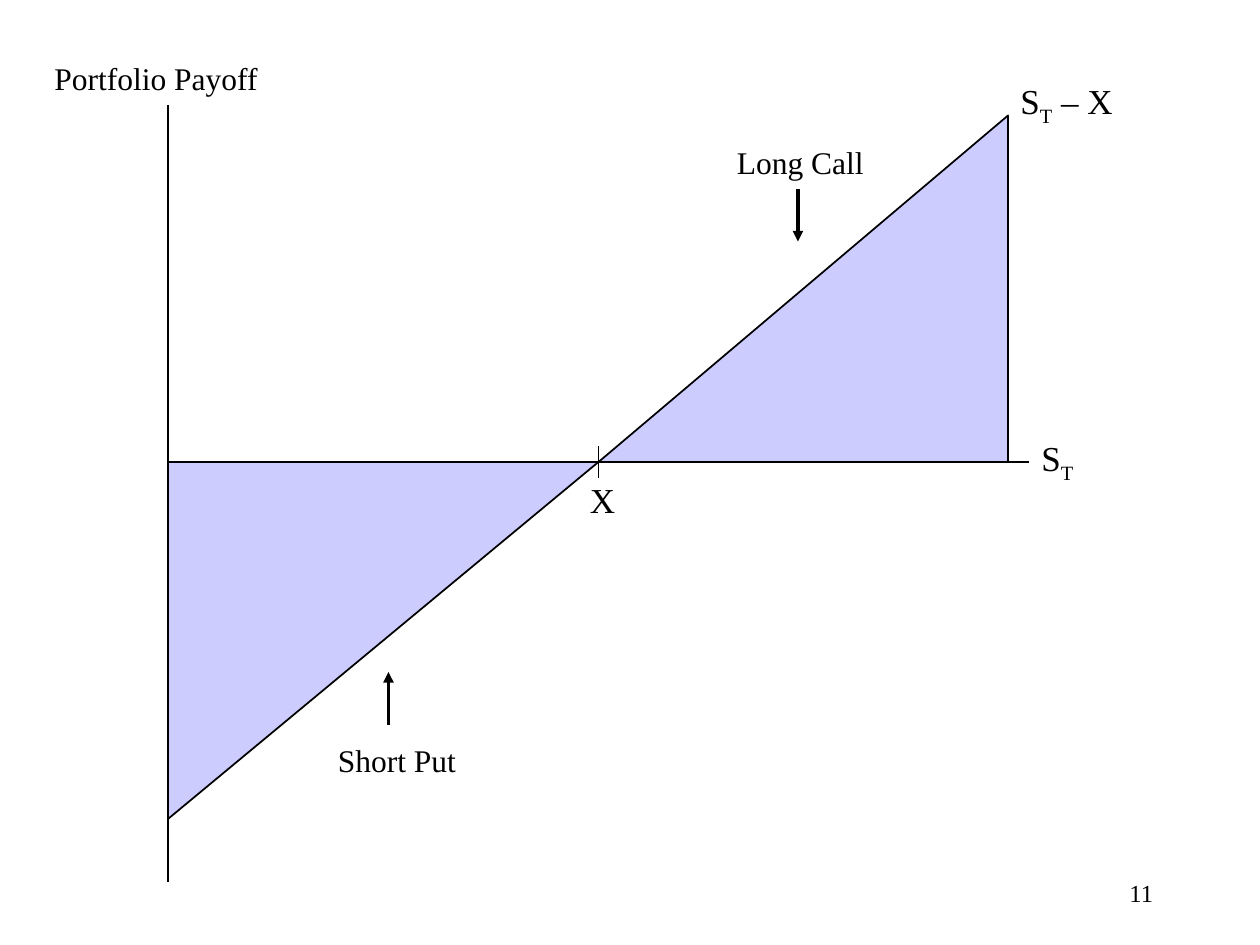
import pptx
import pptx.util
import pptx.dml.color
import pptx.enum.text
import pptx.enum.shapes
import pptx.oxml.ns
from lxml import etree

BLACK = pptx.dml.color.RGBColor(0x00, 0x00, 0x00)
LILAC = pptx.dml.color.RGBColor(0xCC, 0xCC, 0xFF)
WHITE = pptx.dml.color.RGBColor(0xFF, 0xFF, 0xFF)
FONT = "Times New Roman"
COLS, ROWS = 120, 90
CELL = pptx.util.Inches(10) // COLS


def cells(*values):
    """Turn grid cells into slide lengths."""
    return [round(v * CELL) for v in values]


def add_line(s, start, end, color=BLACK, width=1, arrow=False):
    """Draw a straight line between two grid points."""
    line = s.shapes.add_connector(
        pptx.enum.shapes.MSO_CONNECTOR.STRAIGHT, *cells(*start, *end))
    line.line.color.rgb = color
    line.line.width = pptx.util.Pt(width)
    if arrow:
        ln = line.line._get_or_add_ln()
        etree.SubElement(ln, pptx.oxml.ns.qn("a:tailEnd"), type="triangle")
    etree.SubElement(line._element.spPr, pptx.oxml.ns.qn("a:effectLst"))


def add_label(s, box, parts, size, wrap=True):
    """Write text in a grid box; every second part is a subscript."""
    tf = s.shapes.add_textbox(*cells(*box)).text_frame
    tf.word_wrap = wrap
    p = tf.paragraphs[0]
    for i, part in enumerate(parts):
        r = p.add_run()
        r.text = part
        r.font.name = FONT
        r.font.size = pptx.util.Pt(size)
        r.font.color.rgb = BLACK
        if i % 2:
            r._r.get_or_add_rPr().set("baseline", "-25000")
    return tf


def add_triangle(s, points):
    """Draw a filled payoff area through three grid points."""
    start, *rest = [cells(*point) for point in points]
    builder = s.shapes.build_freeform(*start)
    builder.add_line_segments(rest, close=True)
    sp = builder.convert_to_shape()
    sp.shadow.inherit = False
    sp.fill.solid()
    sp.fill.fore_color.rgb = LILAC
    sp.line.color.rgb = BLACK
    sp.line.width = pptx.util.Pt(1)


def payoff_diagram(s, left, top, width, height):
    """Place axes, payoff areas and labels relative to the plot box."""
    right, bottom = left + width, top + height
    zero = top + 34
    strike, end = left + 41, right - 2
    peak, trough = top + 1, bottom - 6

    add_line(s, (left, top), (left, bottom))
    add_line(s, (left, zero), (right, zero))
    add_line(s, (strike, zero + 1.5), (strike, zero - 1.5))
    add_line(s, (end, peak), (end, zero), LILAC)
    add_triangle(s, [(end, peak), (end, zero), (strike, zero)])
    add_triangle(s, [(strike, zero), (left, trough), (left, zero)])

    call, put = left + 60, left + 21
    add_line(s, (call, top + 8), (call, top + 13), width=2, arrow=True)
    add_line(s, (put, bottom - 15), (put, bottom - 20), width=2, arrow=True)

    add_label(s, (left - 12, top - 5, 28, 4.8), ["Portfolio Payoff"], 18)
    add_label(s, (call - 7, top + 3, 15, 4.8), ["Long Call"], 18)
    add_label(s, (put - 6, bottom - 14, 15, 4.8), ["Short Put"], 18)
    add_label(s, (right, zero - 3, 12, 5.2), ["S", "T"], 20)
    add_label(s, (strike - 2, zero + 1, 6, 5.2), ["X"], 20)
    add_label(s, (end, peak - 4, 12, 5.2), ["S", "T", " – X"], 20)


def slide_number(s, left, top, width, height):
    """Write the slide number at the right of its box."""
    tf = add_label(s, (left, top, width, height), ["11"], 14)
    tf.vertical_anchor = pptx.enum.text.MSO_ANCHOR.MIDDLE
    tf.paragraphs[0].alignment = pptx.enum.text.PP_ALIGN.RIGHT


def main():
    """Build the payoff slide and save it."""
    prs = pptx.Presentation()
    prs.slide_width, prs.slide_height = cells(COLS, ROWS)
    s = prs.slides.add_slide(prs.slide_layouts[6])
    s.background.fill.solid()
    s.background.fill.fore_color.rgb = WHITE
    payoff_diagram(s, 16, 10, 82, 74)
    slide_number(s, 86, 82, 25, 6)
    prs.save("out.pptx")


if __name__ == "__main__":
    main()
